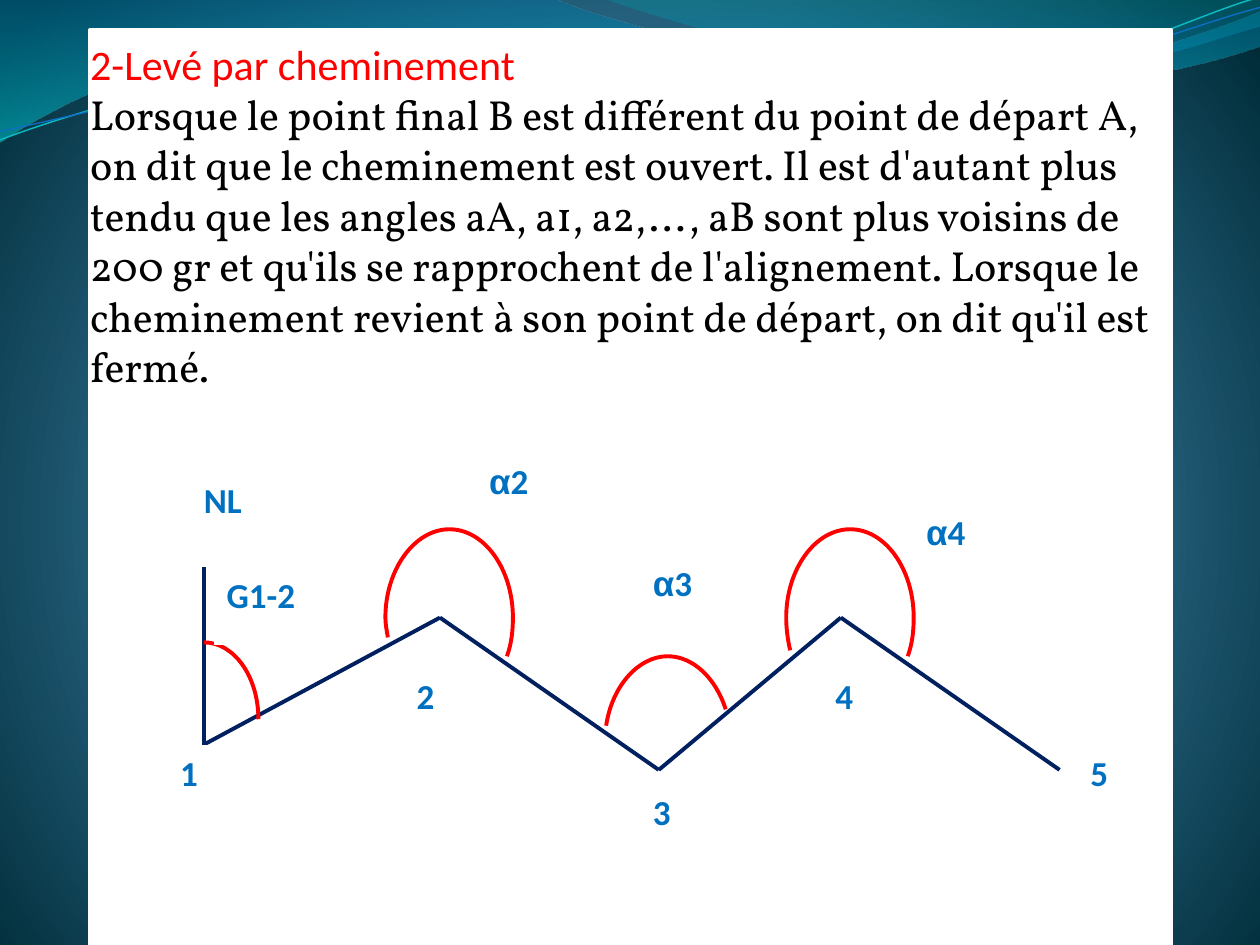
from lxml import etree
from pptx import Presentation
from pptx.dml.color import RGBColor
from pptx.enum.shapes import MSO_CONNECTOR, MSO_SHAPE
from pptx.enum.text import MSO_ANCHOR, PP_ALIGN
from pptx.oxml import parse_xml
from pptx.oxml.ns import qn
from pptx.util import Cm, Pt

NS = ('xmlns:a="http://schemas.openxmlformats.org/drawingml/2006/main" '
      'xmlns:p="http://schemas.openxmlformats.org/presentationml/2006/main"')
WHITE, NAVY, RED, BLUE = "FFFFFF", "002060", "FF0000", "0070C0"

# Content: lengths in cm, gradient stops as (position %, colour, opacity %)
BACKDROP = [(0, "4AA0D6", 100), (25, "4C98C7", 100), (100, "002C38", 100)]
HEADING = "2-Levé par cheminement"
BODY = ("Lorsque le point final B est différent du point de départ A, on dit que le "
        "cheminement est ouvert. Il est d'autant plus tendu que les angles aA, a1, "
        "a2,..., aB sont plus voisins de 200 gr et qu'ils se rapprochent de "
        "l'alignement. Lorsque le cheminement revient à son point de départ, on dit "
        "qu'il est fermé.")

# Each curve: start point, then straight (1 point) or curved (3 points) segments
BANDS = [
    ([(0, 0), [(11.18, -0.03)],
      [(12.09, 0.43), (16.87, 1.6), (19.25, 1.6)],
      [(21.67, 1.6), (24.33, 0.66), (25.4, 0.23)], [(25.43, 0.91)],
      [(24.97, 1.12), (22.1, 1.93), (18.95, 1.91)],
      [(15.8, 1.91), (9.7, 0.71), (6.53, 0.86)],
      [(3.28, 0.91), (1.17, 2.11), (-0.03, 2.87)]],
     [(0, "0074A1", 45), (100, "00C6CF", 55)]),
    ([(12.17, -0.03),
      [(12.93, 0.28), (17.32, 1.57), (19.53, 1.65)],
      [(21.74, 1.75), (24.41, 0.81), (25.4, 0.53)], [(25.4, 0)]],
     [(0, "00A1A9", 30), (80, "008BBF", 45)]),
]
STRAND_TILT = 357.3
STRANDS = [
    ([(-0.05, 2.22), [(1.19, 1.82), (4.02, 1.04), (7.05, 1.05)],
      [(10.05, 1.07), (15.02, 2.37), (18.08, 2.29)],
      [(21.13, 2.2), (23.87, 0.91), (25.41, 0.55)]], "0AB8BF", 0.85),
    ([(-0.04, 2.04), [(1.16, 1.9), (4.18, 1.15), (7.2, 1.16)],
      [(10.25, 1.18), (15.13, 2.25), (18.19, 2.16)],
      [(21.21, 2.1), (23.93, 1.06), (25.45, 0.75)]], "0F6FC6", 0.75),
]

# North end, then stations 1 to 5
TRAVERSE = [(4.11, 11.42), (4.11, 15.01), (8.87, 12.45),
            (13.28, 15.52), (16.95, 12.45), (21.36, 15.52)]
BEARING_ARC = [(4.11, 12.95), [(4.72, 12.95), (5.21, 13.64), (5.21, 14.5)]]
ANGLE_ARCS = [
    [(7.82, 12.85), [(7.8, 12.73), (7.77, 12.59), (7.77, 12.45)],
     [(7.77, 11.48), (8.36, 10.67), (9.06, 10.67)],
     [(9.77, 10.67), (10.34, 11.48), (10.34, 12.45)],
     [(10.34, 12.73), (10.31, 12.98), (10.22, 13.23)]],
    [(15.93, 13.11), [(15.88, 12.9), (15.85, 12.67), (15.85, 12.45)],
     [(15.85, 11.48), (16.43, 10.67), (17.14, 10.67)],
     [(17.85, 10.67), (18.42, 11.48), (18.42, 12.45)],
     [(18.42, 12.73), (18.39, 12.98), (18.3, 13.23)]],
    [(12.22, 14.63), [(12.34, 13.82), (12.88, 13.23), (13.46, 13.23)],
     [(13.97, 13.23), (14.43, 13.67), (14.63, 14.3)]],
]
# Text, left, top, width, height
STATION_LABELS = [("NL", 3.86, 9.53, 1.47, 1.55), ("3", 12.91, 15.82, 1.09, 2.06),
                  ("2", 8.15, 13.48, 1.09, 1.55), ("4", 16.59, 13.48, 1.09, 1.55),
                  ("5", 21.73, 15.03, 1.09, 1.55), ("1", 3.38, 15.03, 1.09, 1.55)]
ANGLE_LABELS = [("α4", 18.42, 10.16, 1.47, 1.55), ("α3", 12.91, 11.19, 1.47, 1.55),
                ("α2", 9.61, 9.14, 1.47, 1.55), ("G1-2", 4.32, 11.44, 2.24, 1.55)]


def colour(value):
    return RGBColor.from_string(value)


def gradient(stops, direction):
    marks = "".join(
        f'<a:gs pos="{pos * 1000}"><a:srgbClr val="{value}">'
        f'<a:alpha val="{opacity * 1000}"/></a:srgbClr></a:gs>'
        for pos, value, opacity in stops)
    return f'<a:gradFill {NS} rotWithShape="1"><a:gsLst>{marks}</a:gsLst>{direction}</a:gradFill>'


def outline(part, value, width):
    part.line.color.rgb = colour(value)
    part.line.width = Pt(width)


def add_curve(start, *segments, close=False):
    """Freeform through the segment ends, with cubic segments bent into shape."""
    builder = slide.shapes.build_freeform(Cm(start[0]), Cm(start[1]), scale=1.0)
    builder.add_line_segments([(Cm(x), Cm(y)) for x, y in (s[-1] for s in segments)],
                              close=close)
    curve = builder.convert_to_shape()
    curve.shadow.inherit = False
    curve.fill.background()
    straight = list(curve.element.spPr.iter(qn("a:lnTo")))
    for line_to, segment in zip(straight, segments):
        if len(segment) == 3:
            points = "".join(f'<a:pt x="{Cm(x) - curve.left}" y="{Cm(y) - curve.top}"/>'
                             for x, y in segment)
            bend = parse_xml(f"<a:cubicBezTo {NS}>{points}</a:cubicBezTo>")
            line_to.getparent().replace(line_to, bend)
    return curve


def add_white_box(left, top, width, height, line_width):
    box = slide.shapes.add_shape(MSO_SHAPE.RECTANGLE, Cm(left), Cm(top),
                                 Cm(width), Cm(height))
    box.shadow.inherit = False
    box.fill.solid()
    box.fill.fore_color.rgb = colour(WHITE)
    outline(box, WHITE, line_width)
    box.text_frame.word_wrap = True
    box.text_frame.vertical_anchor = MSO_ANCHOR.TOP
    box.text_frame.paragraphs[0].alignment = PP_ALIGN.LEFT
    return box.text_frame


def add_run(paragraph, text, size, font, value, bold=False):
    run = paragraph.add_run()
    run.text = text
    run.font.size = Pt(size)
    run.font.name = font
    run.font.bold = bold
    run.font.color.rgb = colour(value)


def add_label(text, *place):
    paragraph = add_white_box(*place, 0.75).paragraphs[0]
    paragraph.space_after = Pt(10)
    if text.startswith("α"):
        add_run(paragraph, "α", 20, "Arial", BLUE, True)
        text = text[1:]
    add_run(paragraph, text, 20, "Calibri", BLUE, True)


deck = Presentation()
deck.slide_width, deck.slide_height = Cm(25.4), Cm(19.05)
slide = deck.slides.add_slide(deck.slide_layouts[6])

# Background and waves
radial = ('<a:path path="circle"><a:fillToRect l="10000" t="110000" '
          'r="10000" b="100000"/></a:path>')
slide.element.cSld.insert(0, parse_xml(
    f'<p:bg {NS}><p:bgPr>{gradient(BACKDROP, radial)}<a:effectLst/></p:bgPr></p:bg>'))
for segments, stops in BANDS:
    band = add_curve(*segments, close=True)
    band.line.fill.background()
    no_fill = band.element.spPr.find(qn("a:noFill"))
    band.element.spPr.replace(
        no_fill, parse_xml(gradient(stops, '<a:lin ang="5400000" scaled="1"/>')))
for segments, value, width in STRANDS:
    strand = add_curve(*segments)
    strand.rotation = STRAND_TILT
    outline(strand, value, width)

# White panel with heading and body
panel = add_white_box(1.82, 0.6, 21.79, 18.45, 2.25)
panel.margin_left = panel.margin_bottom = 0
panel.margin_top, panel.margin_right = Cm(0.17), Cm(0.05)
lesson = panel.paragraphs[0]
lesson.line_spacing = Pt(28.8)
add_run(lesson, HEADING, 24, "Calibri", RED)
lesson.add_line_break()
add_run(lesson, BODY, 24, "Vollkorn", "000000")

# Traverse, angles and labels
for (x1, y1), (x2, y2) in zip(TRAVERSE, TRAVERSE[1:]):
    leg = slide.shapes.add_connector(MSO_CONNECTOR.STRAIGHT, Cm(x1), Cm(y1), Cm(x2), Cm(y2))
    outline(leg, NAVY, 2.25)
    etree.SubElement(leg.element.spPr, qn("a:effectLst"))
outline(add_curve(*BEARING_ARC), RED, 2.25)
for label in STATION_LABELS:
    add_label(*label)
for angle_arc in ANGLE_ARCS:
    outline(add_curve(*angle_arc), RED, 2.25)
for label in ANGLE_LABELS:
    add_label(*label)

deck.save("out.pptx")
